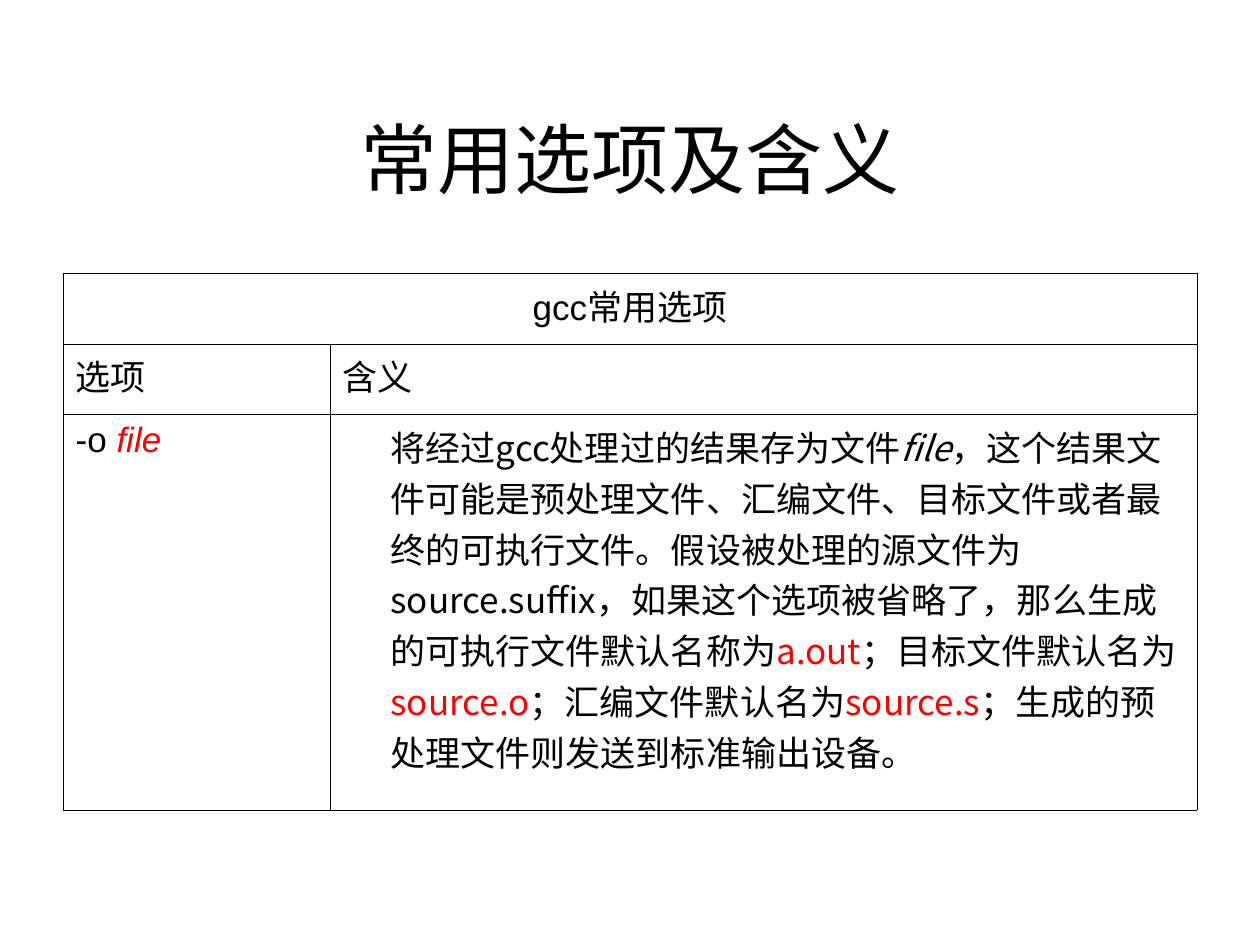
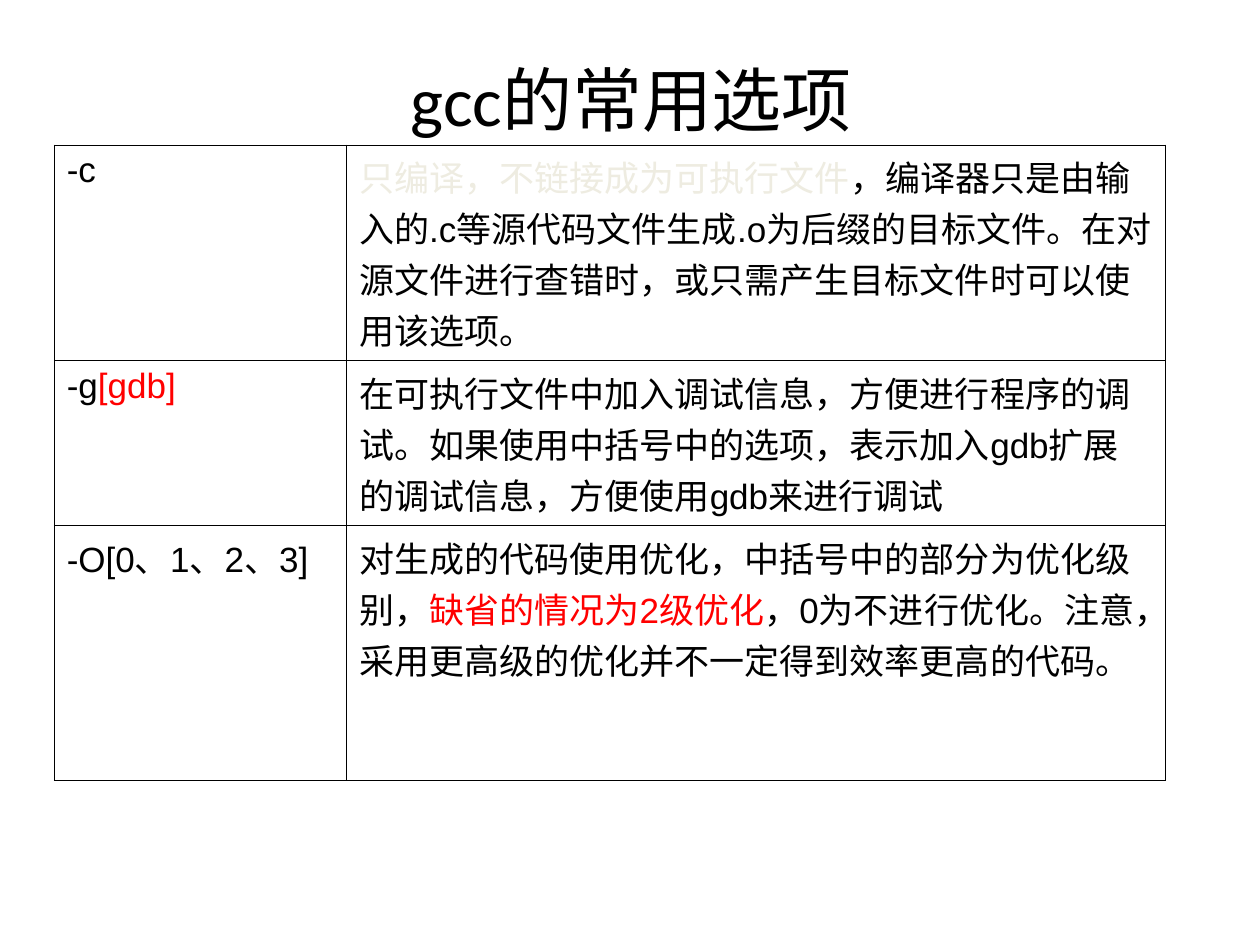
import pptx
import pptx.dml.color
import pptx.enum.text
import pptx.oxml
import pptx.oxml.ns
import pptx.util
from pptx.util import Inches

BLACK, WHITE, RED, PALE = "000000", "FFFFFF", "FF0000", "EEECE1"
LATIN, CHINESE, HEADING = "Arial", "Noto Sans CJK SC", "Calibri"
CENTER = pptx.enum.text.PP_ALIGN.CENTER
MIDDLE = pptx.enum.text.MSO_ANCHOR.MIDDLE
TITLE_ONLY = 5


def color(code):
    return pptx.dml.color.RGBColor.from_string(code)


class Slides:
    """Holds the deck, its style and the current page."""

    def __init__(self):
        self.deck = pptx.Presentation()
        self.deck.slide_width = Inches(10)
        self.deck.slide_height = Inches(7.5)
        self.page = None

    def add_page(self, title, left, top, width, height, size):
        self.page = self.deck.slides.add_slide(self.deck.slide_layouts[TITLE_ONLY])
        box = self.page.shapes.title
        box.left, box.top = Inches(left), Inches(top)
        box.width, box.height = Inches(width), Inches(height)
        frame = box.text_frame
        frame.auto_size = pptx.enum.text.MSO_AUTO_SIZE.NONE
        frame.vertical_anchor = MIDDLE
        self.set_text(frame.paragraphs[0], [title], size, HEADING, CENTER)

    def set_text(self, para, spans, size=20, font=LATIN, align=None, indent=0):
        """Fill a paragraph; a span is plain text or (text, colour, italic)."""
        para.alignment = align
        if indent:
            para._p.get_or_add_pPr().set("marL", str(Inches(indent)))
        para.font.size = pptx.util.Pt(size)
        para.font.color.rgb = color(BLACK)
        para.font.name = font
        east_asian = pptx.oxml.parse_xml(
            f'<a:ea {pptx.oxml.ns.nsdecls("a")} typeface="{CHINESE}"/>')
        para.font._element.append(east_asian)
        for item in spans:
            text, code, italic = (item, None, False) if isinstance(item, str) else item
            span = para.add_run()
            span.text = text
            if code:
                span.font.color.rgb = color(code)
            if italic:
                span.font.italic = True

    def add_table(self, left, top, widths, heights):
        frame = self.page.shapes.add_table(
            len(heights), len(widths), Inches(left), Inches(top),
            Inches(sum(widths)), Inches(sum(heights)))
        table = frame.table
        table.first_row = table.horz_banding = False
        for column, width in zip(table.columns, widths):
            column.width = Inches(width)
        for row, height in zip(table.rows, heights):
            row.height = Inches(height)
        for cell in table.iter_cells():
            self.add_borders(cell)
            cell.fill.solid()
            cell.fill.fore_color.rgb = color(WHITE)
        return table

    def add_borders(self, cell):
        for side in ("lnL", "lnR", "lnT", "lnB"):
            cell._tc.get_or_add_tcPr().append(pptx.oxml.parse_xml(
                f'<a:{side} {pptx.oxml.ns.nsdecls("a")} w="{pptx.util.Pt(0.45)}">'
                f'<a:solidFill><a:srgbClr val="{BLACK}"/></a:solidFill></a:{side}>'))

    def fill_cell(self, cell, spans, **style):
        self.set_text(cell.text_frame.paragraphs[0], spans, **style)


def add_output_option(slides):
    slides.add_page("常用选项及含义", 0.5, 0.5, 9, 1.5, size=44)
    table = slides.add_table(0.5, 2.17, [2.12, 6.88], [0.56, 0.56, 3.14])
    table.cell(0, 0).merge(table.cell(0, 1))
    slides.fill_cell(table.cell(0, 0), ["gcc常用选项"], align=CENTER)
    slides.fill_cell(table.cell(1, 0), ["选项"])
    slides.fill_cell(table.cell(1, 1), ["含义"])
    slides.fill_cell(table.cell(2, 0), ["-o ", ("file", RED, True)])
    slides.fill_cell(table.cell(2, 1), [
        "将经过gcc处理过的结果存为文件",
        ("file", None, True),
        "，这个结果文件可能是预处理文件、汇编文件、目标文件或者最终的可执行文件。"
        "假设被处理的源文件为source.suffix，如果这个选项被省略了，"
        "那么生成的可执行文件默认名称为",
        ("a.out", RED, False),
        "；目标文件默认名为",
        ("source.o", RED, False),
        "；汇编文件默认名为",
        ("source.s", RED, False),
        "；生成的预处理文件则发送到标准输出设备。",
    ], font=CHINESE, indent=0.38)


def add_common_options(slides):
    slides.add_page("gcc的常用选项", 0.51, 0.28, 9, 1.01, size=40)
    options = [
        (["-c"],
         [("只编译，不链接成为可执行文件", PALE, False),
          "，编译器只是由输入的.c等源代码文件生成.o为后缀的目标文件。"
          "在对源文件进行查错时，或只需产生目标文件时可以使用该选项。"]),
        (["-g", ("[gdb]", RED, False)],
         ["在可执行文件中加入调试信息，方便进行程序的调试。如果使用中括号中的选项，"
          "表示加入gdb扩展的调试信息，方便使用gdb来进行调试"]),
        (["-O[0、1、2、3]"],
         ["对生成的代码使用优化，中括号中的部分为优化级别，",
          ("缺省的情况为2级优化", RED, False),
          "，0为不进行优化。注意，采用更高级的优化并不一定得到效率更高的代码。"]),
    ]
    table = slides.add_table(0.43, 1.15, [2.32, 6.5], [1.71, 1.31, 2.02])
    for row, option in enumerate(options):
        for column, spans in enumerate(option):
            slides.fill_cell(table.cell(row, column), spans)


def main():
    slides = Slides()
    add_output_option(slides)
    add_common_options(slides)
    slides.deck.save("out.pptx")


if __name__ == "__main__":
    main()
